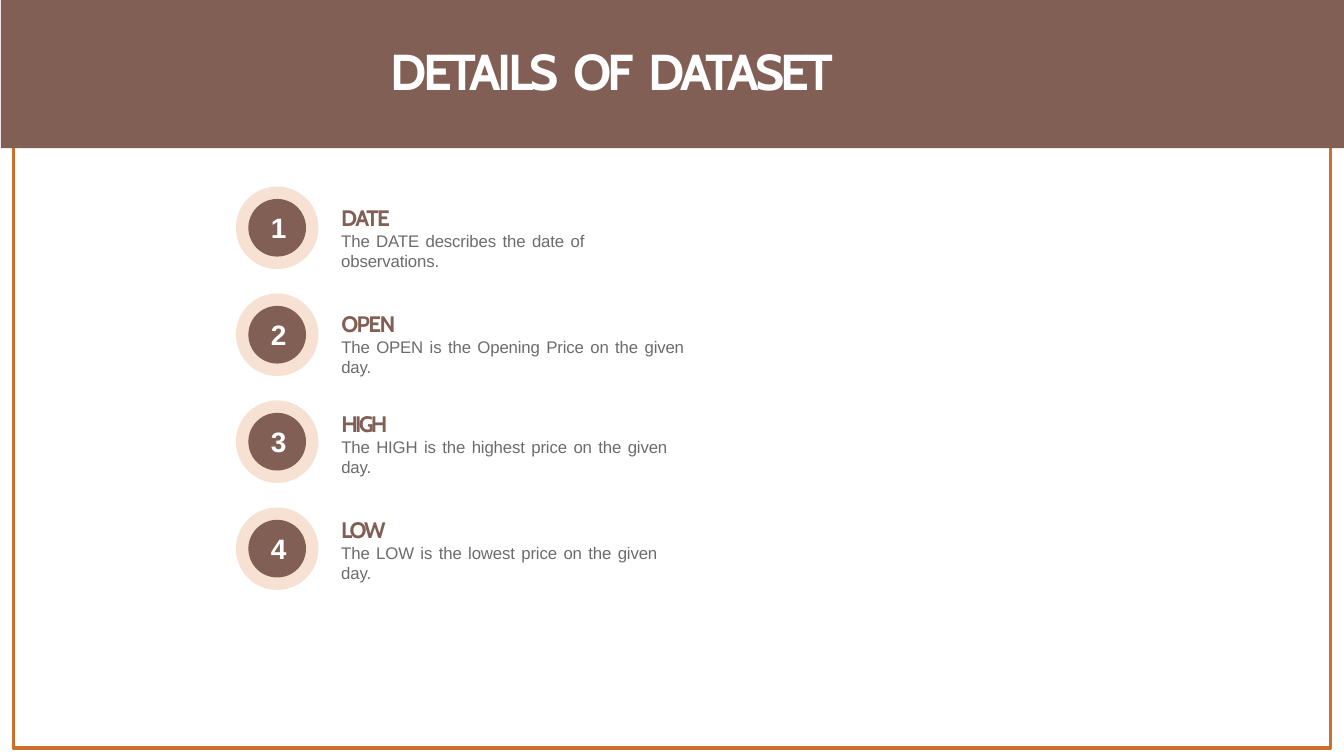
from dataclasses import dataclass

import pptx
import pptx.dml.color
import pptx.enum.shapes
import pptx.enum.text
import pptx.util

Pt = pptx.util.Pt
ALIGN = pptx.enum.text.PP_ALIGN
ANCHOR = pptx.enum.text.MSO_ANCHOR
AUTO_SIZE = pptx.enum.text.MSO_AUTO_SIZE
SHAPE = pptx.enum.shapes.MSO_SHAPE

COLORS = {
    "brown": "815F55",
    "peach": "F6E1D3",
    "orange": "CC6F2C",
    "grey": "6C6C6C",
    "white": "FFFFFF",
}

TITLE_FONT = {"name": "Cabin", "size": Pt(36), "bold": True}
NUMBER_FONT = {"name": "Arial", "size": Pt(20), "bold": True}
HEADING_FONT = {"name": "Cabin", "size": Pt(16), "bold": True}
DETAIL_FONT = {"name": "Arial", "size": Pt(12), "bold": False}

TITLE_SPACING = {"alignment": ALIGN.LEFT, "space_before": Pt(1)}
HEADING_SPACING = {"line_spacing": Pt(19.1), "space_before": Pt(0.9)}
DETAIL_SPACING = {"line_spacing": Pt(14.3)}

TEXT_FRAME = {
    "margin_left": Pt(1),
    "margin_top": Pt(1),
    "margin_right": 0,
    "margin_bottom": 0,
    "word_wrap": True,
    "vertical_anchor": ANCHOR.TOP,
    "auto_size": AUTO_SIZE.SHAPE_TO_FIT_TEXT,
}
BADGE_FRAME = {
    "margin_left": Pt(2),
    "margin_top": 0,
    "margin_right": 0,
    "margin_bottom": 0,
    "word_wrap": False,
    "vertical_anchor": ANCHOR.MIDDLE,
}

BADGE_CENTER_X = 198
FIRST_BADGE_CENTER_Y = 162.7
BADGE_PITCH = 76.4
RING_DIAMETER = 59
DISC_DIAMETER = 41.2
ENTRY_LEFT = 242.8
ENTRY_HEIGHT = 35.3


@dataclass
class Entry:
    heading: str
    detail: str
    top: float
    width: float
    tracking: float


ENTRIES = [
    Entry("DATE", "The DATE describes the date of observations.", 144.7, 244, -1.2),
    Entry("OPEN", "The OPEN is the Opening Price on the given day.", 220.3, 259, -1.1),
    Entry("HIGH", "The HIGH is the highest price on the given day.", 292.3, 250.6, -1.9),
    Entry("LOW", "The LOW is the lowest price on the given day.", 367.9, 244, -1.7),
]


def rgb(color: str) -> pptx.dml.color.RGBColor:
    return pptx.dml.color.RGBColor.from_string(COLORS[color])


def apply_format(target, values: dict) -> None:
    for attribute, value in values.items():
        setattr(target, attribute, value)


def add_run(paragraph, text: str, font: dict, color: str, tracking: float) -> None:
    run = paragraph.add_run()
    run.text = text
    apply_format(run.font, font)
    run.font.color.rgb = rgb(color)
    run.font._element.set("spc", str(round(tracking * 100)))


def add_words(paragraph, text: str, font: dict, color: str,
              tracking: float, gap: float) -> None:
    for position, word in enumerate(text.split()):
        if position:
            add_run(paragraph, " ", font, color, gap)
        add_run(paragraph, word, font, color, tracking)


def add_filled(slide, kind, left: float, top: float,
               width: float, height: float, color: str):
    shape = slide.shapes.add_shape(kind, Pt(left), Pt(top), Pt(width), Pt(height))
    shape.shadow.inherit = False
    shape.fill.solid()
    shape.fill.fore_color.rgb = rgb(color)
    shape.line.fill.background()
    return shape


def add_circle(slide, center_y: float, diameter: float, color: str):
    return add_filled(slide, SHAPE.OVAL, BADGE_CENTER_X - diameter / 2,
                      center_y - diameter / 2, diameter, diameter, color)


def add_badge(slide, index: int) -> None:
    center_y = FIRST_BADGE_CENTER_Y + index * BADGE_PITCH
    add_circle(slide, center_y, RING_DIAMETER, "peach")
    disc = add_circle(slide, center_y, DISC_DIAMETER, "brown")
    apply_format(disc.text_frame, BADGE_FRAME)
    number = disc.text_frame.paragraphs[0]
    number.alignment = ALIGN.CENTER
    add_run(number, str(index + 1), NUMBER_FONT, "white", 0)


def add_entry(slide, entry: Entry) -> None:
    box = slide.shapes.add_textbox(Pt(ENTRY_LEFT), Pt(entry.top),
                                   Pt(entry.width), Pt(ENTRY_HEIGHT))
    apply_format(box.text_frame, TEXT_FRAME)
    heading = box.text_frame.paragraphs[0]
    apply_format(heading, HEADING_SPACING)
    add_run(heading, entry.heading, HEADING_FONT, "brown", entry.tracking)
    detail = box.text_frame.add_paragraph()
    apply_format(detail, DETAIL_SPACING)
    add_words(detail, entry.detail, DETAIL_FONT, "grey", -0.1, 1.2)


def add_frame(slide) -> None:
    frame = add_filled(slide, SHAPE.RECTANGLE, 9.4, 6.5, 941, 527.8, "white")
    frame.fill.background()
    frame.line.color.rgb = rgb("orange")
    frame.line.width = Pt(2.28)


def add_title(slide) -> None:
    add_filled(slide, SHAPE.RECTANGLE, 0.7, 0, 959.3, 105.8, "brown")
    title = slide.shapes.title
    slide.shapes._spTree.append(title._element)
    apply_format(title, {"left": Pt(278), "top": Pt(27.4),
                         "width": Pt(351.4), "height": Pt(45.4)})
    apply_format(title.text_frame, TEXT_FRAME)
    heading = title.text_frame.paragraphs[0]
    apply_format(heading, TITLE_SPACING)
    add_words(heading, "DETAILS OF DATASET", TITLE_FONT, "white", -2.6, 2)


def main() -> None:
    deck = pptx.Presentation()
    deck.slide_width = Pt(960)
    deck.slide_height = Pt(540)
    slide = deck.slides.add_slide(deck.slide_layouts[5])
    add_frame(slide)
    for index, entry in enumerate(ENTRIES):
        add_badge(slide, index)
        add_entry(slide, entry)
    add_title(slide)
    deck.save("out.pptx")


if __name__ == "__main__":
    main()
